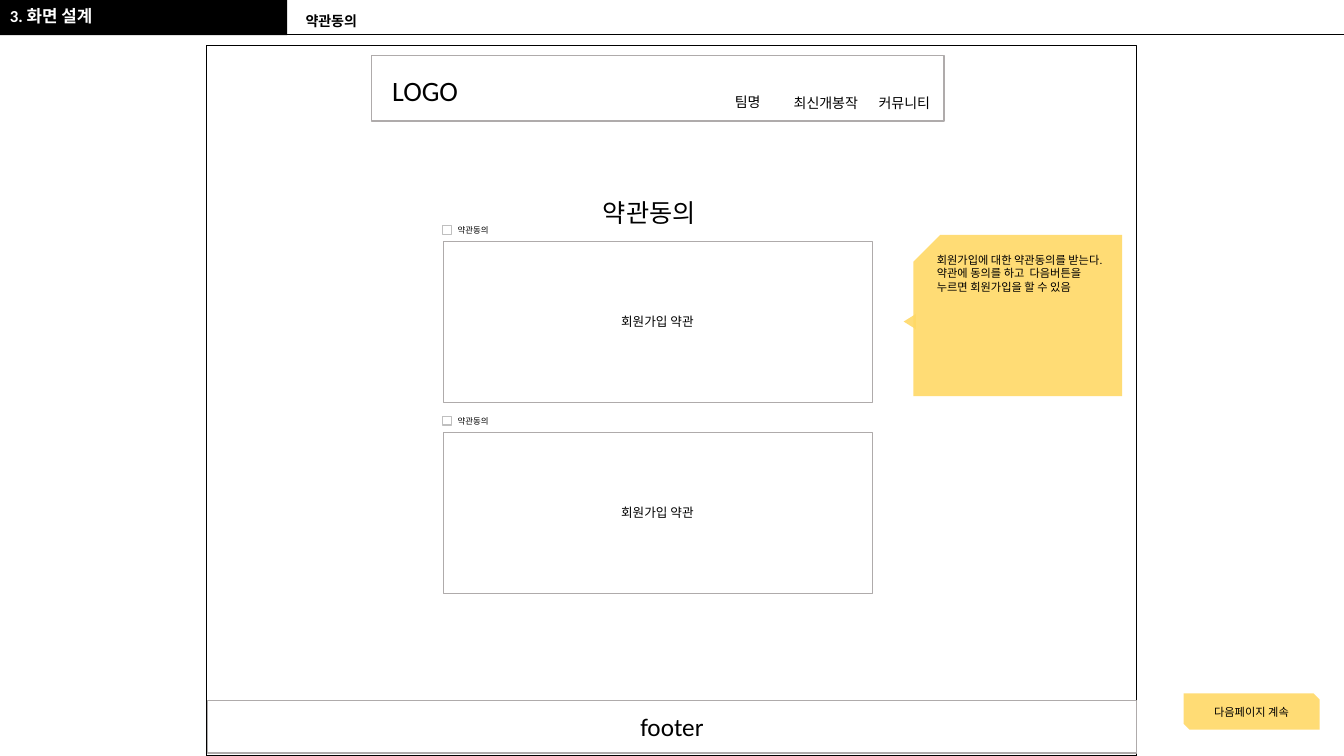
import pptx
import pptx.dml.color
import pptx.enum.shapes
import pptx.enum.text
import pptx.oxml
import pptx.oxml.ns
import pptx.util

SLIDE_WIDTH = pptx.util.Inches(13.33)
SLIDE_HEIGHT = pptx.util.Inches(7.5)
COLUMNS, ROWS = 160, 90
FONT = "Calibri"
BLACK, WHITE, GREY, LIGHT_GREY, NOTE = "000000", "FFFFFF", "AFABAB", "BFBFBF", "FFD966"
NOTE_OPACITY = 90
TERMS_LEFT, TERMS_TOP, TERMS_PITCH = 52.7, 26.9, 22.7

SHAPES = pptx.enum.shapes.MSO_SHAPE
ANCHOR = pptx.enum.text.MSO_ANCHOR
ALIGN = pptx.enum.text.PP_ALIGN
AUTO_SIZE = pptx.enum.text.MSO_AUTO_SIZE


def column(value):
    return round(SLIDE_WIDTH * value / COLUMNS)


def row(value):
    return round(SLIDE_HEIGHT * value / ROWS)


def place(left, top, width, height):
    return column(left), row(top), column(width), row(height)


def color(value):
    return pptx.dml.color.RGBColor.from_string(value)


def set_values(target, values):
    for name, value in values.items():
        setattr(target, name, value)


def write_text(shape, text, size, bold=False, ink=BLACK, align=ALIGN.LEFT, spacing=1.0, **frame):
    set_values(shape.text_frame, {"word_wrap": True, "vertical_anchor": ANCHOR.TOP, **frame})
    shape.text_frame.text = text
    for paragraph in shape.text_frame.paragraphs:
        set_values(paragraph, {"alignment": align, "line_spacing": spacing})
        for run in paragraph.runs:
            set_values(run.font, {"name": FONT, "size": pptx.util.Pt(size), "bold": bold})
            run.font.color.rgb = color(ink)


def add_block(slide, area, fill=WHITE, line=None, weight=1, kind=SHAPES.RECTANGLE):
    shape = slide.shapes.add_shape(kind, *place(*area))
    shape.shadow.inherit = False
    shape.fill.solid()
    shape.fill.fore_color.rgb = color(fill)
    if line:
        shape.line.color.rgb = color(line)
        shape.line.width = pptx.util.Pt(weight)
    else:
        shape.line.fill.background()
    return shape


def add_centered_block(slide, area, text, size, **style):
    shape = add_block(slide, area, **style)
    write_text(shape, text, size, align=ALIGN.CENTER, vertical_anchor=ANCHOR.MIDDLE)
    return shape


def add_label(slide, area, text, size, **style):
    write_text(slide.shapes.add_textbox(*place(*area)), text, size, **style)


def make_translucent(shape):
    fill = shape._element.spPr.find(pptx.oxml.ns.qn("a:solidFill"))
    alpha = pptx.oxml.parse_xml(f'<a:alpha {pptx.oxml.ns.nsdecls("a")} val="{NOTE_OPACITY * 1000}"/>')
    fill[0].append(alpha)


def add_rule(slide, start, end, level):
    connector = slide.shapes.add_connector(
        pptx.enum.shapes.MSO_CONNECTOR.STRAIGHT, column(start), row(level), column(end), row(level))
    connector.line.color.rgb = color(BLACK)
    connector.line.width = pptx.util.Pt(0.5)
    connector._element.spPr.append(
        pptx.oxml.parse_xml(f'<a:effectLst {pptx.oxml.ns.nsdecls("a")}/>'))


def add_header(slide):
    add_block(slide, (0, 0, 34.2, 4.2), fill=BLACK)
    add_rule(slide, 33.1, COLUMNS, 4.1)
    add_label(slide, (0, 0.36, 34.2, 3.84), "3. 화면 설계", 12, bold=True, ink=WHITE, spacing=0.9)
    add_label(slide, (35.2, 1.08, 102.8, 3.1), "약관동의", 10, bold=True, spacing=0.9)


def add_navigation(slide):
    add_block(slide, (44.2, 6.6, 68.2, 7.8), line=GREY)
    add_label(slide, (45.5, 8.16, 12.84, 5.28), "LOGO", 20)
    add_label(slide, (86.3, 10.56, 8.2, 3.24), "팀명", 10)
    for left, width, text in ((90.5, 15.6, "최신개봉작"), (100.7, 13.9, "커뮤니티")):
        add_label(slide, (left, 10.68, width, 3.24), text, 10, align=ALIGN.CENTER)


def add_terms(slide, top):
    add_centered_block(slide, (TERMS_LEFT, top + 1.8, 51.1, 19.2), "회원가입 약관", 9,
                       line=GREY, weight=0.25)
    add_block(slide, (TERMS_LEFT, top, 1, 1), line=LIGHT_GREY, weight=0.75)
    add_label(slide, (TERMS_LEFT + 0.6, top - 0.65, 6.5, 2.4), "약관동의", 6,
              word_wrap=False, auto_size=AUTO_SIZE.SHAPE_TO_FIT_TEXT)


def add_callout(slide):
    note = add_block(slide, (108.75, 27.96, 24.84, 19.2), fill=NOTE, kind=SHAPES.SNIP_1_RECTANGLE)
    note._element.spPr.find(pptx.oxml.ns.qn("a:xfrm")).set("flipH", "1")
    write_text(note, "회원가입에 대한 약관동의를 받는다.\n"
                     "약관에 동의를 하고  다음버튼을 누르면 회원가입을 할 수 있음", 8)
    pointer = add_block(slide, (107.4, 37.56, 1.8, 1.44), fill=NOTE, kind=SHAPES.ISOSCELES_TRIANGLE)
    pointer.rotation = 270
    for shape in (note, pointer):
        make_translucent(shape)


def main():
    presentation = pptx.Presentation()
    set_values(presentation, {"slide_width": SLIDE_WIDTH, "slide_height": SLIDE_HEIGHT})
    slide = presentation.slides.add_slide(presentation.slide_layouts[6])
    add_header(slide)
    add_block(slide, (24.6, 5.4, 110.7, 84.6), line=BLACK)
    continued = add_centered_block(slide, (140.9, 82.56, 16.2, 4.32), "다음페이지 계속", 8,
                                   fill=NOTE, kind=SHAPES.SNIP_2_DIAG_RECTANGLE)
    make_translucent(continued)
    add_label(slide, (70.6, 22.92, 15.24, 4.8), "약관동의", 18)
    add_centered_block(slide, (24.7, 83.4, 110.6, 6.24), "footer", 18, line=GREY)
    add_callout(slide)
    for index in range(2):
        add_terms(slide, TERMS_TOP + index * TERMS_PITCH)
    add_navigation(slide)
    presentation.save("out.pptx")


if __name__ == "__main__":
    main()
